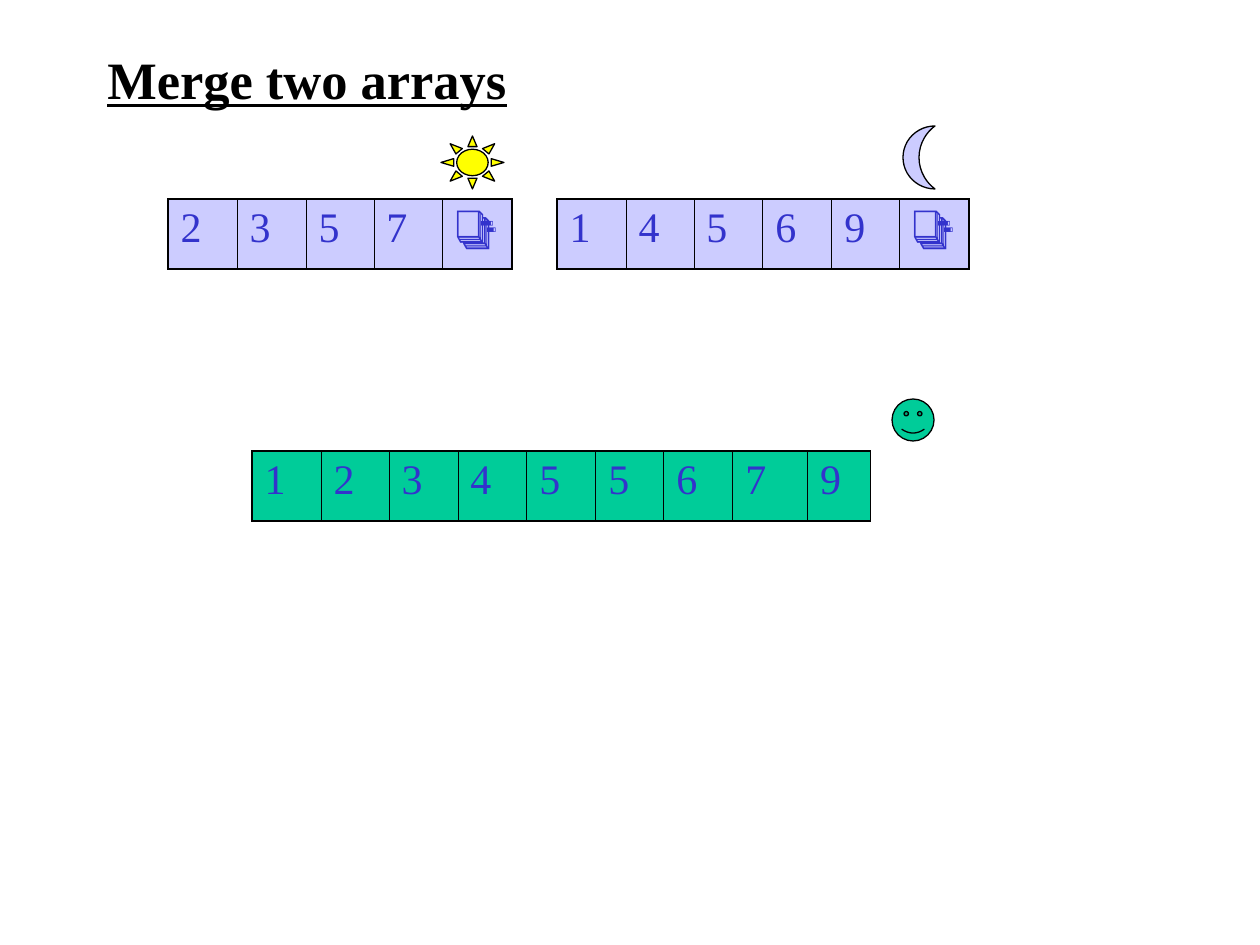
from lxml.etree import SubElement
from pptx import Presentation
from pptx.dml.color import RGBColor
from pptx.enum.shapes import MSO_SHAPE as Shape
from pptx.enum.text import MSO_ANCHOR as Anchor
from pptx.oxml.ns import qn
from pptx.util import Emu, Pt

SCALE = 914400 / 126
FONT = "Times New Roman"
COLORS = {"ink": "000000", "digit": "3333CC", "input": "CCCCFF",
          "merged": "00CC99", "sun": "FFFF00"}


def px(n):
    """Turn pixels into EMU."""
    return Emu(round(n * SCALE))


def color(name):
    """Look up a named colour."""
    return RGBColor.from_string(COLORS[name])


def split(total, count):
    """Cut a length into equal whole parts."""
    edges = [round(total * i / count) for i in range(count + 1)]
    return [b - a for a, b in zip(edges, edges[1:])]


def style(para, size, tint):
    """Set the font of a paragraph."""
    font = para.font
    font.name, font.size = FONT, Pt(size)
    font.color.rgb = color(tint)
    return font


def border(cell, side, width):
    """Draw one side of a cell."""
    line = SubElement(cell._tc.get_or_add_tcPr(), qn(f"a:ln{side}"), w=str(Pt(width)))
    fill = SubElement(line, qn("a:solidFill"))
    SubElement(fill, qn("a:srgbClr"), val=COLORS["ink"])


def add_title(slide, box, text):
    """Place the underlined heading."""
    frame = slide.shapes.add_textbox(*map(px, box)).text_frame
    frame.word_wrap = True
    frame.vertical_anchor = Anchor.MIDDLE
    para = frame.paragraphs[0]
    para.text = text
    font = style(para, 30, "ink")
    font.bold = font.underline = True


def add_array(slide, left, top, widths, values, tint):
    """Place an array as a one-row table."""
    high, last = 70, len(values) - 1
    box = map(px, (left, top, sum(widths), high))
    table = slide.shapes.add_table(1, len(values), *box).table
    table.first_row = table.horz_banding = False
    for i, (width, value) in enumerate(zip(widths, values)):
        table.columns[i].width = px(width)
        cell = table.cell(0, i)
        cell.text = value
        style(cell.text_frame.paragraphs[0], 24, "digit")
        border(cell, "L", 1.08 if i == 0 else 0.45)
        border(cell, "R", 1.08 if i == last else 0.45)
        border(cell, "T", 1.08)
        border(cell, "B", 1.08)
        cell.fill.solid()
        cell.fill.fore_color.rgb = color(tint)


def add_mark(slide, kind, box, tint, adjust):
    """Place the symbol that marks an array position."""
    mark = slide.shapes.add_shape(kind, *map(px, box))
    mark.shadow.inherit = False
    mark.adjustments[0] = adjust
    mark.fill.solid()
    mark.fill.fore_color.rgb = color(tint)
    mark.line.color.rgb = color("ink")
    mark.line.width = Pt(0.75)


def main():
    """Build the slide and save it."""
    deck = Presentation()
    deck.slide_width, deck.slide_height = px(1260), px(945)
    slide = deck.slides.add_slide(deck.slide_layouts[6])
    add_title(slide, (95, 42, 850, 73), "Merge two arrays")
    add_array(slide, 168, 199, split(344, 5), "2357📑", "input")
    add_array(slide, 557, 199, split(412, 6), "14569📑", "input")
    add_array(slide, 252, 451, [*split(481, 7), 75, 63], "123455679", "merged")
    add_mark(slide, Shape.MOON, (903, 126, 32, 63), "input", 0.5)
    add_mark(slide, Shape.SMILEY_FACE, (892, 399, 42, 42), "merged", 0.05)
    add_mark(slide, Shape.SUN, (441, 136, 63, 53), "sun", 0.25)
    deck.save("out.pptx")


if __name__ == "__main__":
    main()
